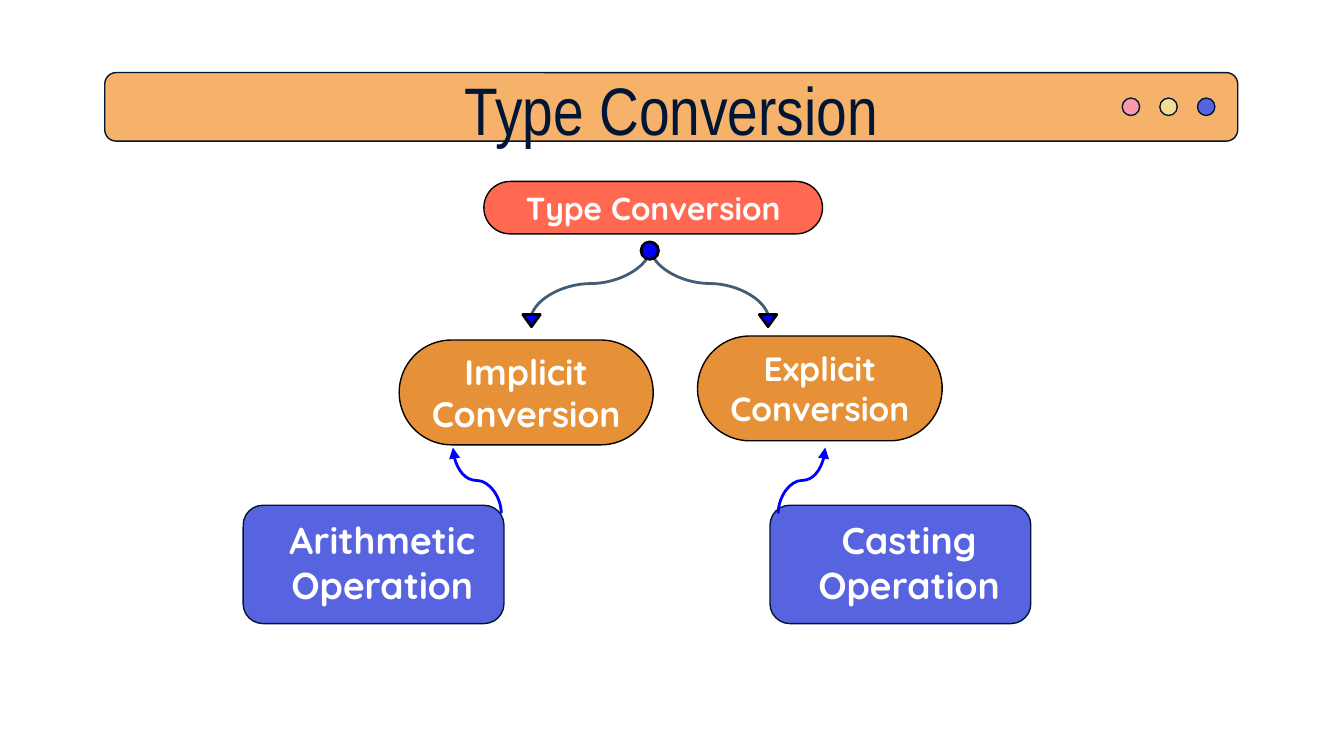
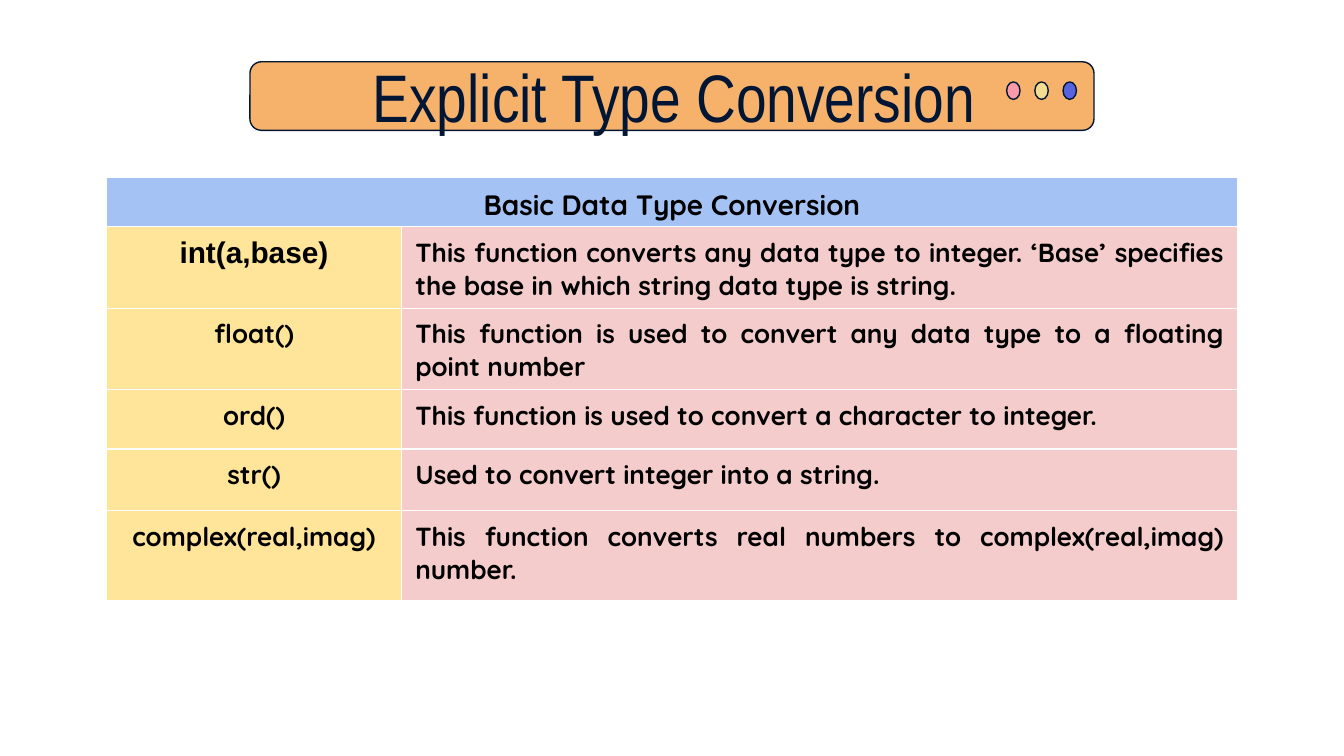
from dataclasses import dataclass

from lxml.etree import SubElement
from pptx import Presentation
from pptx.dml.color import RGBColor
from pptx.enum.shapes import MSO_CONNECTOR as Connector, MSO_SHAPE as Preset
from pptx.enum.text import MSO_ANCHOR as Anchor, PP_ALIGN as Align
from pptx.oxml import parse_xml
from pptx.oxml.ns import nsdecls, qn
from pptx.util import Inches, Pt


@dataclass(frozen=True)
class Theme:
    navy: str = "011635"
    black: str = "000000"
    white: str = "FFFFFF"
    blue: str = "0000FF"
    slate: str = "435D74"
    band: str = "F6B26B"
    root: str = "FF6952"
    branch: str = "E69138"
    leaf: str = "5863E0"
    dots: tuple = ("F99AAA", "F4DC90", "5863E0")
    table_head: str = "A4C2F4"
    table_name: str = "FFE599"
    table_note: str = "F4CCCC"
    title_font: str = "Arial Narrow"
    code_font: str = "Arial"
    body_font: str = "Quicksand"
    title_size: float = 36
    leaf_size: float = 20
    root_size: float = 17
    code_size: float = 16
    head_size: float = 15
    cell_size: float = 14
    thin: float = 0.75
    thick: float = 1.5


theme = Theme()
presentation = Presentation()
presentation.slide_width = Inches(10)
presentation.slide_height = Inches(5.625)
UNIT = presentation.slide_width / 100  # square grid, 100 columns wide


def add_box(slide, preset, box, fill=None, line=theme.black, weight=theme.thin):
    """Place a preset shape, or a text box when preset is None."""
    place = [round(value * UNIT) for value in box]
    if preset is None:
        return slide.shapes.add_textbox(*place)
    shape = slide.shapes.add_shape(preset, *place)
    shape.shadow.inherit = False
    shape.fill.solid()
    shape.fill.fore_color.rgb = RGBColor.from_string(fill)
    shape.line.color.rgb = RGBColor.from_string(line)
    shape.line.width = Pt(weight)
    return shape


def write(frame, lines, size, color, font=theme.body_font, bold=True,
          align=Align.CENTER, margins=(1, 1, 1, 1)):
    """Fill a text frame, one paragraph a line; margins are in grid units."""
    frame.word_wrap = True
    frame.vertical_anchor = Anchor.MIDDLE
    sides = ("margin_left", "margin_top", "margin_right", "margin_bottom")
    for side, margin in zip(sides, margins):
        setattr(frame, side, round(margin * UNIT))
    for index, line in enumerate(lines):
        paragraph = frame.add_paragraph() if index else frame.paragraphs[0]
        paragraph.alignment = align
        run = paragraph.add_run()
        run.text = line
        run.font.name = font
        run.font.size = Pt(size)
        run.font.bold = bold
        run.font.color.rgb = RGBColor.from_string(color)


# Title bands: title, band, title box, first dot, dot step
headers = [
    ("Type Conversion", (7.8, 5.4, 84.3, 5.1), (14.9, 4.9, 70.1, 6.3),
     (83.5, 7.3, 1.3, 1.3), 2.8),
    ("Explicit Type Conversion", (18.6, 4.6, 62.8, 5.1), (24, 4, 52.3, 6.3),
     (74.9, 6.1, 1, 1.3), 2.1),
]
slides = []
for title, band, title_box, (left, top, width, height), step in headers:
    slide = presentation.slides.add_slide(presentation.slide_layouts[6])
    slides.append(slide)
    add_box(slide, Preset.ROUNDED_RECTANGLE, band, theme.band, theme.navy)
    for index, color in enumerate(theme.dots):
        dot = (left + index * step, top, width, height)
        add_box(slide, Preset.OVAL, dot, color, theme.navy)
    write(add_box(slide, None, title_box).text_frame, [title], theme.title_size,
          theme.navy, theme.title_font, False, margins=(0, 0, 0, 0))

tree_slide, table_slide = slides

# Root and branch pills
pills = [
    (["Type Conversion"], (36, 13.5, 25.2, 3.9), theme.root, theme.root_size),
    (["Implicit", "Conversion"], (29.7, 25.3, 18.9, 7.8), theme.branch, 19),
    (["Explicit", "Conversion"], (51.9, 25, 18.2, 7.8), theme.branch, 18),
]
for lines, box, fill, size in pills:
    pill = add_box(tree_slide, Preset.ROUNDED_RECTANGLE, box, fill)
    pill.adjustments[0] = 0.5
    write(pill.text_frame, lines, size, theme.white)

# Leaf cards with their labels
for label, left in (("Casting Operation", 57.3), ("Arithmetic Operation", 18.1)):
    add_box(tree_slide, Preset.ROUNDED_RECTANGLE, (left, 37.6, 19.4, 8.8),
            theme.leaf, theme.navy)
    label_box = add_box(tree_slide, None, (left + 2.1, 38.2, 15.7, 7.2))
    write(label_box.text_frame, [label], theme.leaf_size, theme.white,
          margins=(0.8, 0, 0, 0))

# Curves from top to bottom: a horizontal S turned by a quarter
curves = [
    ((48.4, 18.4), (39.5, 23.8), theme.slate, False),
    ((48.4, 18.4), (57.2, 23.8), theme.slate, False),
    ((33.7, 33.3), (37.3, 38.2), theme.blue, True),
    ((61.4, 33.3), (57.9, 38.2), theme.blue, True),
]
for (x1, y1), (x2, y2), color, arrow in curves:
    center_x, center_y = (x1 + x2) / 2, (y1 + y2) / 2
    half_x, half_y = (x2 - x1) / 2, (y2 - y1) / 2
    ends = (center_x - half_y, center_y + half_x,
            center_x + half_y, center_y - half_x)
    curve = tree_slide.shapes.add_connector(
        Connector.CURVE, *[round(value * UNIT) for value in ends])
    curve.line.color.rgb = RGBColor.from_string(color)
    curve.line.width = Pt(theme.thick)
    properties = curve._element.spPr
    properties.find(qn("a:xfrm")).set("rot", "5400000")
    if arrow:
        SubElement(properties.find(qn("a:ln")), qn("a:headEnd"), type="triangle")
    SubElement(properties, qn("a:effectLst"))

# Joint under the root and tips above the branches
add_box(tree_slide, Preset.OVAL, (47.7, 18, 1.3, 1.3), theme.blue,
        weight=theme.thick)
for left in (38.9, 56.5):
    add_box(tree_slide, Preset.FLOWCHART_MERGE, (left, 23.4, 1.3, 0.9),
            theme.blue, weight=theme.thick)

# Conversion function table
functions = [
    ("int(a,base)", "This function converts any data type to integer. ‘Base’ "
     "specifies the base in which string data type is string."),
    ("float()", "This function is used to convert any data type to a floating "
     "point number"),
    ("ord()", "This function is used to convert a character to integer."),
    ("str()", "Used to convert integer into a string."),
    ("complex(real,imag)", "This function converts real numbers to "
     "complex(real,imag) number."),
]
row_heights = (2.9, 3.2, 3.2, 4.4, 4.6, 6.7)
column_widths = (22, 62.2)
table_box = (7.9, 13.2, sum(column_widths), sum(row_heights))
table = table_slide.shapes.add_table(
    len(row_heights), len(column_widths),
    *[round(value * UNIT) for value in table_box]).table
table.horz_banding = False
for column, width in zip(table.columns, column_widths):
    column.width = round(width * UNIT)
for row, height in zip(table.rows, row_heights):
    row.height = round(height * UNIT)

# Fills and white cell borders
for row_index, row in enumerate(table.rows):
    for column_index, cell in enumerate(row.cells):
        fill = (theme.table_name, theme.table_note)[column_index]
        cell.fill.solid()
        cell.fill.fore_color.rgb = RGBColor.from_string(
            fill if row_index else theme.table_head)
        cell_properties = cell._tc.get_or_add_tcPr()
        for index, side in enumerate(("lnL", "lnR", "lnT", "lnB")):
            cell_properties.insert(index, parse_xml(
                f'<a:{side} {nsdecls("a")} w="{Pt(theme.thin)}"><a:solidFill>'
                f'<a:srgbClr val="{theme.white}"/></a:solidFill></a:{side}>'))

# Cell text
heading = table.cell(0, 0)
heading.merge(table.cell(0, 1))
write(heading.text_frame, ["Basic Data Type Conversion"], theme.head_size,
      theme.black)
heading.text_frame.paragraphs[0].line_spacing = 1.15
heading.vertical_anchor = Anchor.MIDDLE
heading.margin_left = heading.margin_right = round(0.9 * UNIT)
heading.margin_top = heading.margin_bottom = round(0.4 * UNIT)
for row_index, texts in enumerate(functions, start=1):
    for column_index, text in enumerate(texts):
        cell = table.cell(row_index, column_index)
        is_code = (row_index, column_index) == (1, 0)
        write(cell.text_frame, [text],
              theme.code_size if is_code else theme.cell_size, theme.black,
              theme.code_font if is_code else theme.body_font,
              align=Align.JUSTIFY if column_index else Align.CENTER)
        cell.text_frame.paragraphs[0].space_before = Pt(3.6)
        cell.vertical_anchor = Anchor.TOP
        cell.margin_left = cell.margin_right = round(UNIT)
        cell.margin_top = cell.margin_bottom = round(0.7 * UNIT)

presentation.save("out.pptx")
